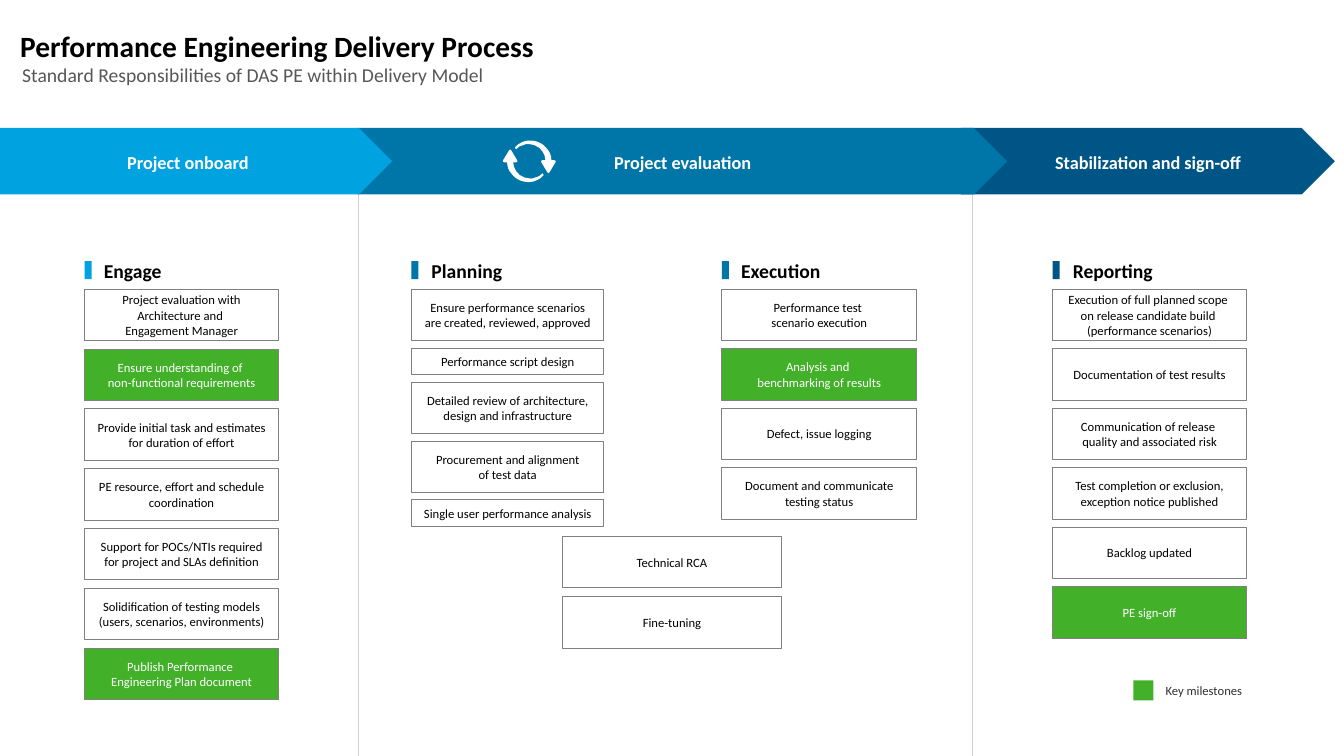
from pptx import Presentation
from pptx.dml.color import RGBColor
from pptx.enum.shapes import MSO_CONNECTOR, MSO_SHAPE
from pptx.enum.text import MSO_ANCHOR, PP_ALIGN
from pptx.oxml.ns import qn
from pptx.util import Inches, Pt
from lxml.etree import SubElement

# Content: "\v" is a line break, "\n" a new paragraph
TITLE = "Performance Engineering Delivery Process"
SUBTITLE = "Standard Responsibilities of DAS PE within Delivery Model"
LEGEND = "Key milestones"

# Phase banners: text, shape, left, width, colour
STABILIZATION = ("Stabilization and sign-off", MSO_SHAPE.CHEVRON, 9.53, 3.71, "late")
EVALUATION = ("Project evaluation", MSO_SHAPE.CHEVRON, 3.55, 6.44, "middle")
ONBOARD = ("Project onboard", MSO_SHAPE.PENTAGON, 0, 3.89, "early")

# Steps marked with KEY are milestones, those with SLIM are low boxes
KEY, SLIM = "key", "slim"
ENGAGE = [
    ("Project evaluation with Architecture and \vEngagement Manager",),
    ("Ensure understanding of \vnon-functional requirements", KEY),
    ("Provide initial task and estimates for duration of effort",),
    ("PE resource, effort and schedule coordination",),
    ("Support for POCs/NTIs required for project and SLAs definition",),
    ("Solidification of testing models (users, scenarios, environments)",),
    ("Publish Performance \vEngineering Plan document", KEY),
]
PLANNING = [
    ("Ensure performance scenarios are created, reviewed, approved",),
    ("Performance script design", SLIM),
    ("Detailed review of architecture, design and infrastructure",),
    ("Procurement and alignment\nof test data",),
    ("Single user performance analysis", SLIM),
]
EXECUTION = [
    ("Performance test \vscenario execution",),
    ("Analysis and \vbenchmarking of results", KEY),
    ("Defect, issue logging",),
    ("Document and communicate\ntesting status",),
]
REPORTING = [
    ("Execution of full planned scope \von release candidate build \v(performance scenarios)",),
    ("Documentation of test results",),
    ("Communication of release \vquality and associated risk",),
    ("Test completion or exclusion, exception notice published",),
    ("Backlog updated",),
    ("PE sign-off", KEY),
]
SHARED = [("Technical RCA",), ("Fine-tuning",)]

# Step stacks: steps, left, width, top, bottom
STACKS = [
    (PLANNING, 4.08, 1.91, 2.87, 5.22),
    (SHARED, 5.58, 2.17, 5.32, 6.43),
    (EXECUTION, 7.16, 1.93, 2.87, 5.15),
    (REPORTING, 10.44, 1.92, 2.87, 6.33),
    (ENGAGE, 0.84, 1.92, 2.87, 6.94),
]
# Headings: text, text left, text width, marker left, marker colour
HEADINGS = [
    ("Engage", 1.03, 0.87, 0.84, "early"),
    ("Planning", 4.28, 0.93, 4.08, "middle"),
    ("Execution", 7.35, 1.19, 7.16, "middle"),
    ("Reporting", 10.64, 1.2, 10.44, "late"),
]
DIVIDERS = [(3.56, 1.71), (9.65, 1.81)]

# Cycle arrow: one point is a straight step, three points are a curve
CYCLE_CENTER = (5.25, 1.6)
CYCLE_ARROW = [
    [(5.5, 1.59)],
    [(5.47, 1.59)],
    [(5.47, 1.54), (5.45, 1.5), (5.42, 1.47)],
    [(5.39, 1.43), (5.35, 1.41), (5.31, 1.4)],
    [(5.27, 1.39), (5.22, 1.39), (5.18, 1.41)],
    [(5.15, 1.42), (5.13, 1.44), (5.11, 1.46)],
    [(5.11, 1.46), (5.11, 1.46), (5.11, 1.47)],
    [(5.12, 1.48)],
    [(5.14, 1.46), (5.16, 1.44), (5.19, 1.44)],
    [(5.22, 1.42), (5.26, 1.43), (5.3, 1.44)],
    [(5.33, 1.45), (5.36, 1.47), (5.38, 1.5)],
    [(5.4, 1.53), (5.41, 1.56), (5.41, 1.59)],
    [(5.38, 1.59)],
    [(5.37, 1.59), (5.36, 1.6), (5.37, 1.61)],
    [(5.43, 1.71)],
    [(5.43, 1.72), (5.45, 1.72), (5.45, 1.71)],
    [(5.51, 1.61)],
    [(5.52, 1.6), (5.51, 1.59), (5.5, 1.59)],
]

THEME = {
    "font": "Calibri",
    "early": "00A3E0", "middle": "0076A8", "late": "005587",
    "key": "43B02A", "white": "FFFFFF", "black": "000000",
    "border": "808080", "divider": "D0D0CE",
    "subtitle": "575757", "legend": "313131",
    "title_pt": 21, "heading_pt": 14, "phase_pt": 13, "step_pt": 9,
}
BOX_H, SLIM_H = 0.51, 0.26


def color(name):
    return RGBColor.from_string(THEME[name])


def write(shape, text, size, ink, bold=False, align=PP_ALIGN.LEFT,
          anchor=MSO_ANCHOR.TOP, inset=0, spacing=None):
    tf = shape.text_frame
    tf.word_wrap = True
    tf.vertical_anchor = anchor
    tf.margin_left = tf.margin_right = Inches(inset)
    tf.margin_top = tf.margin_bottom = Inches(inset)
    tf.text = text
    for p in tf.paragraphs:
        p.alignment = align
        p.line_spacing = spacing
        p.font.name = THEME["font"]
        p.font.size = Pt(THEME[size])
        p.font.bold = bold
        p.font.color.rgb = color(ink)


def paint(shape, fill, border=None):
    shape.shadow.inherit = False
    shape.fill.solid()
    shape.fill.fore_color.rgb = color(fill)
    if border:
        shape.line.color.rgb = color(border)
        shape.line.width = Pt(0.75)
    else:
        shape.line.fill.background()


def add_block(s, kind, x, y, w, h, fill, border=None):
    sp = s.shapes.add_shape(kind, Inches(x), Inches(y), Inches(w), Inches(h))
    paint(sp, fill, border)
    return sp


def add_label(s, x, y, w, h, *style, **options):
    box = s.shapes.add_textbox(Inches(x), Inches(y), Inches(w), Inches(h))
    write(box, *style, **options)


def add_stack(s, steps, x, w, top, bottom):
    heights = [SLIM_H if SLIM in marks else BOX_H for _, *marks in steps]
    gap = (bottom - top - sum(heights)) / (len(steps) - 1)
    y = top
    for (text, *marks), h in zip(steps, heights):
        fill, ink = ("key", "white") if KEY in marks else ("white", "black")
        sp = add_block(s, MSO_SHAPE.RECTANGLE, x, y, w, h, fill, "border")
        write(sp, text, "step_pt", ink, align=PP_ALIGN.CENTER,
              anchor=MSO_ANCHOR.MIDDLE, inset=0.1)
        y += h + gap


def add_phase(s, text, kind, x, w, fill):
    sp = add_block(s, kind, x, 1.27, w, 0.66, fill)
    write(sp, text, "phase_pt", "white", bold=True, align=PP_ALIGN.CENTER,
          anchor=MSO_ANCHOR.MIDDLE, inset=0.1, spacing=1.06)


def add_cycle_arrow(group, steps):
    steps = [[(Inches(x), Inches(y)) for x, y in step] for step in steps]
    start, *ends = [step[-1] for step in steps]
    builder = group.shapes.build_freeform(*start)
    builder.add_line_segments(ends, close=True)
    sp = builder.convert_to_shape()
    paint(sp, "white")
    # Bend the straight segments that have control points
    segments = list(sp._element.iter(qn("a:lnTo")))
    for segment, step in zip(segments, steps[1:]):
        if len(step) == 3:
            segment.tag = qn("a:cubicBezTo")
            segment.remove(segment[0])
            for x, y in step:
                SubElement(segment, qn("a:pt"), x=str(x - sp.left), y=str(y - sp.top))


prs = Presentation()
prs.slide_width, prs.slide_height = Inches(13.33), Inches(7.5)
s = prs.slides.add_slide(prs.slide_layouts[6])

# Dividers between phases
for x, top in DIVIDERS:
    line = s.shapes.add_connector(MSO_CONNECTOR.STRAIGHT, Inches(x), Inches(top),
                                  Inches(x), Inches(7.5))
    line.line.color.rgb = color("divider")
    line.line.width = Pt(0.75)
    SubElement(line._element.spPr, qn("a:effectLst"))

# Stacks of steps
for stack in STACKS:
    add_stack(s, *stack)

# Legend
add_block(s, MSO_SHAPE.RECTANGLE, 11.24, 6.75, 0.2, 0.2, "key")
add_label(s, 11.56, 6.77, 1.35, 0.15, LEGEND, "step_pt", "legend")

# Column headings
for text, x, w, marker_x, accent in HEADINGS:
    add_label(s, x, 2.57, w, 0.24, text, "heading_pt", "black", bold=True)
    add_block(s, MSO_SHAPE.RECTANGLE, marker_x, 2.59, 0.07, 0.18, accent)

# Phase banners, each overlapping the next
for phase in (STABILIZATION, EVALUATION, ONBOARD):
    add_phase(s, *phase)

# Cycle icon: one arrow and its half turn about the centre
cx, cy = CYCLE_CENTER
half_turn = [[(2 * cx - x, 2 * cy - y) for x, y in step] for step in CYCLE_ARROW]
cycle = s.shapes.add_group_shape()
for arrow in (CYCLE_ARROW, half_turn):
    add_cycle_arrow(cycle, arrow)

# Title and subtitle
add_label(s, 0.2, 0.28, 12.31, 0.37, TITLE, "title_pt", "black", bold=True)
add_label(s, 0.22, 0.62, 12.31, 0.83, SUBTITLE, "heading_pt", "subtitle")

prs.save("out.pptx")
